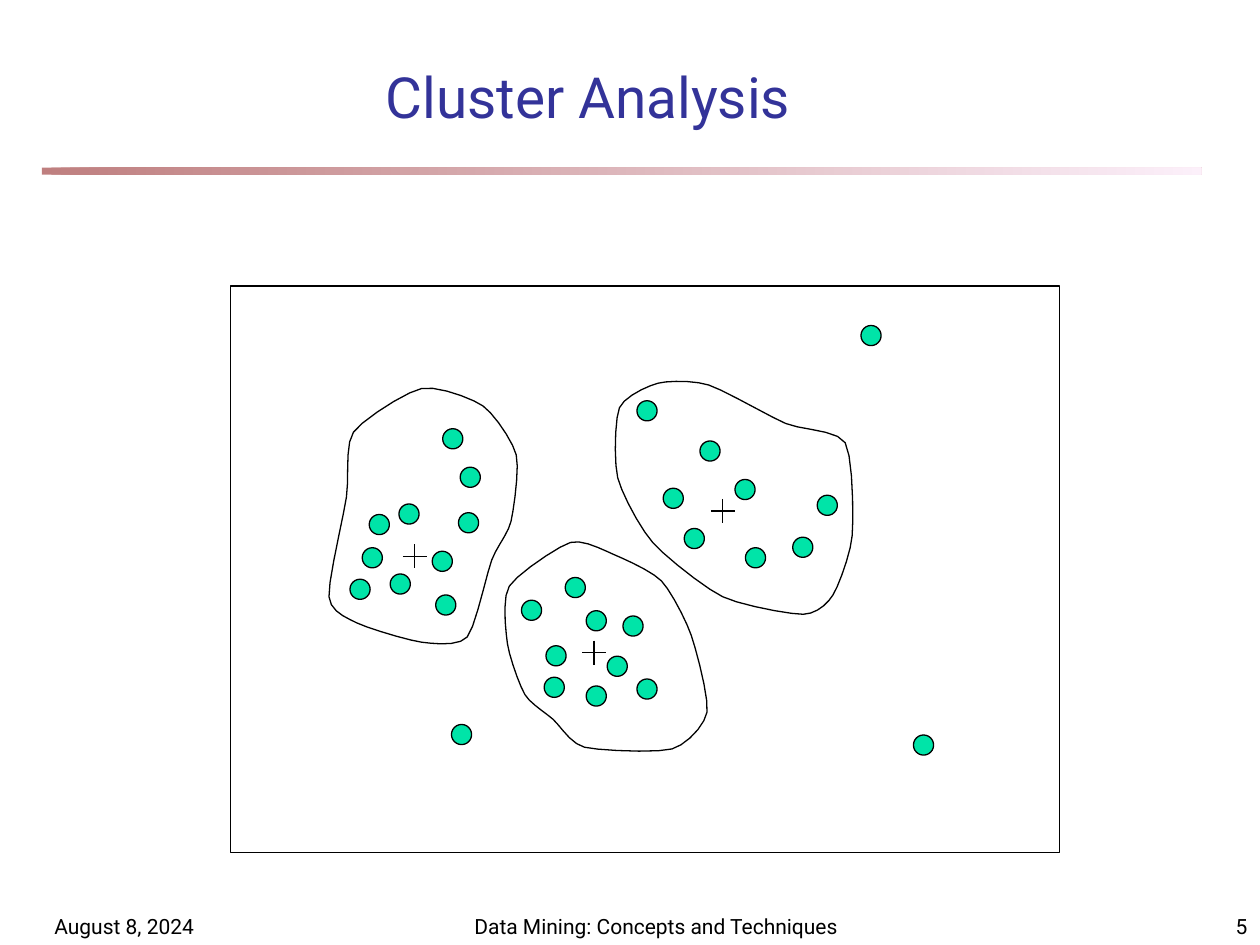
"""Build the Cluster Analysis slide: three outlined clusters, their centres and outliers."""
from lxml.etree import SubElement
from pptx import Presentation
from pptx.dml.color import RGBColor
from pptx.enum.shapes import MSO_CONNECTOR as Connector, MSO_SHAPE as Shape
from pptx.enum.text import MSO_ANCHOR as Anchor, MSO_AUTO_SIZE as AutoSize, PP_ALIGN as Align
from pptx.oxml.ns import qn
from pptx.util import Pt

COLORS = {"title": "333399", "ink": "000000", "point": "00E4A8",
          "rule_start": "800000", "rule_end": "FAE2F6"}
FONT = "Roboto"
POINT_SIZE = 11.5
CROSS_ARM = 6.85
CURVE_STEPS = 5
TENSION = 0.35

OUTLIERS = [(522, 420), (258, 414), (492, 186)]
CLUSTERS = [
    {
        "centre": (339.5, 373),
        "points": [(298, 343), (356, 352), (335, 392), (347, 375), (312, 369),
                   (311, 387), (323, 330), (335, 349), (364, 388)],
        "outline": [(316, 411), (300, 397), (290, 368), (291, 335), (326, 310), (351, 317),
                    (378, 332), (395, 363), (404, 407), (384, 428), (334, 427)],
    },
    {
        "centre": (413, 292),
        "points": [(400, 252), (391, 302), (420, 274), (379, 279), (467, 283),
                   (453, 307), (426, 313), (364, 229)],
        "outline": [(483, 253), (487, 306), (476, 340), (459, 351), (413, 341), (373, 310),
                    (353, 273), (354, 233), (376, 219), (405, 220), (449, 242)],
    },
    {
        "centre": (237, 318),
        "points": [(223, 328), (207, 313), (247, 315), (228, 288), (200, 331),
                   (211, 294), (249, 340), (262, 293), (263, 267), (253, 245)],
        "outline": [(281, 320), (267, 364), (241, 367), (204, 356), (188, 341), (198, 284),
                    (202, 247), (241, 222), (276, 232), (295, 260), (292, 298)],
    },
]


def color(name):
    return RGBColor.from_string(COLORS[name])


def write(frame, text, size, ink, align):
    frame.word_wrap = True
    frame.auto_size = AutoSize.NONE
    frame.vertical_anchor = Anchor.BOTTOM
    paragraph = frame.paragraphs[0]
    paragraph.alignment = align
    run = paragraph.add_run()
    run.text = text
    run.font.name = FONT
    run.font.size = Pt(size)
    run.font.color.rgb = color(ink)


def place_title(slide, text):
    title = slide.shapes.title
    title.left, title.top, title.width, title.height = Pt(120), Pt(30), Pt(432), Pt(48)
    write(title.text_frame, text, 32.4, "title", Align.CENTER)


def add_footer(slide, text, left, width, align=Align.LEFT):
    footer = slide.shapes.add_textbox(Pt(left), Pt(510), Pt(width), Pt(30))
    write(footer.text_frame, text, 12, "ink", align)


def add_rule(slide):
    rule = slide.shapes.add_shape(Shape.RECTANGLE, Pt(24), Pt(95.8), Pt(662.4), Pt(4))
    rule.shadow.inherit = False
    rule.line.fill.background()
    rule.fill.gradient()
    rule.fill.gradient_angle = 0
    for stop, name in zip(rule.fill.gradient_stops, ("rule_start", "rule_end")):
        stop.color.rgb = color(name)
    for tint in rule.element.iter(qn("a:srgbClr")):
        SubElement(tint, qn("a:alpha"), val="50000")


def ink_outline(shape, fill=None):
    shape.shadow.inherit = False
    shape.line.color.rgb = color("ink")
    shape.line.width = Pt(0.75)
    if fill:
        shape.fill.solid()
        shape.fill.fore_color.rgb = color(fill)
    else:
        shape.fill.background()


def add_point(slide, left, top):
    point = slide.shapes.add_shape(Shape.FLOWCHART_CONNECTOR, Pt(left), Pt(top),
                                   Pt(POINT_SIZE), Pt(POINT_SIZE))
    ink_outline(point, "point")


def add_centre(slide, x, y):
    for dx, dy in ((CROSS_ARM, 0), (0, CROSS_ARM)):
        arm = slide.shapes.add_connector(Connector.STRAIGHT, Pt(x - dx), Pt(y - dy),
                                         Pt(x + dx), Pt(y + dy))
        arm.line.color.rgb = color("ink")
        arm.line.width = Pt(0.75)
        SubElement(arm.element.spPr, qn("a:effectLst"))


def blend(before, start, end, after, t):
    """Return one coordinate of the smooth curve from start to end."""
    leaving, arriving = TENSION * (end - before), TENSION * (after - start)
    return (start + leaving * t
            + (3 * (end - start) - 2 * leaving - arriving) * t ** 2
            + (2 * (start - end) + leaving + arriving) * t ** 3)


def smooth(outline):
    """Return closely spaced points on a closed curve through the outline."""
    count = len(outline)
    curve = []
    for i in range(count):
        neighbours = [outline[(i + shift) % count] for shift in (-1, 0, 1, 2)]
        for step in range(CURVE_STEPS):
            curve.append([blend(*axis, step / CURVE_STEPS) for axis in zip(*neighbours)])
    return curve


def add_boundary(slide, outline):
    start, *others = [(Pt(x), Pt(y)) for x, y in smooth(outline)]
    builder = slide.shapes.build_freeform(*start)
    builder.add_line_segments(others, close=True)
    ink_outline(builder.convert_to_shape())


def main():
    deck = Presentation()
    deck.slide_width, deck.slide_height = Pt(720), Pt(540)
    slide = deck.slides.add_slide(deck.slide_layouts[5])
    add_rule(slide)
    add_footer(slide, "August 8, 2024", 24, 150)
    add_footer(slide, "Data Mining: Concepts and Techniques", 264, 228)
    add_footer(slide, "5", 570, 150, Align.RIGHT)
    place_title(slide, "Cluster Analysis")
    plot_frame = slide.shapes.add_shape(Shape.RECTANGLE, Pt(131.8), Pt(163.4), Pt(473.8), Pt(324))
    ink_outline(plot_frame)
    for outlier in OUTLIERS:
        add_point(slide, *outlier)
    for cluster in CLUSTERS:
        add_centre(slide, *cluster["centre"])
        for point in cluster["points"]:
            add_point(slide, *point)
        add_boundary(slide, cluster["outline"])
    deck.save("out.pptx")


if __name__ == "__main__":
    main()
